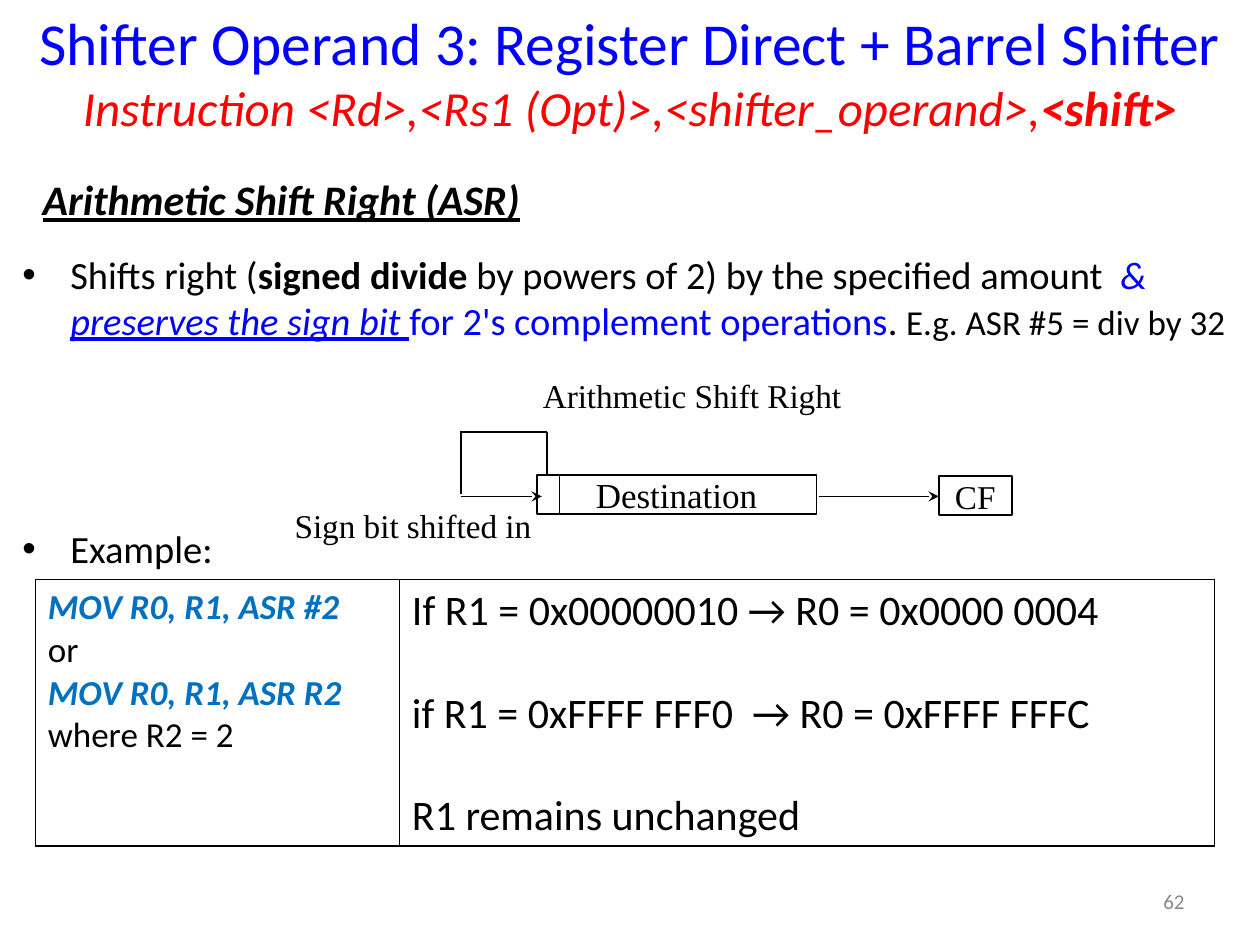
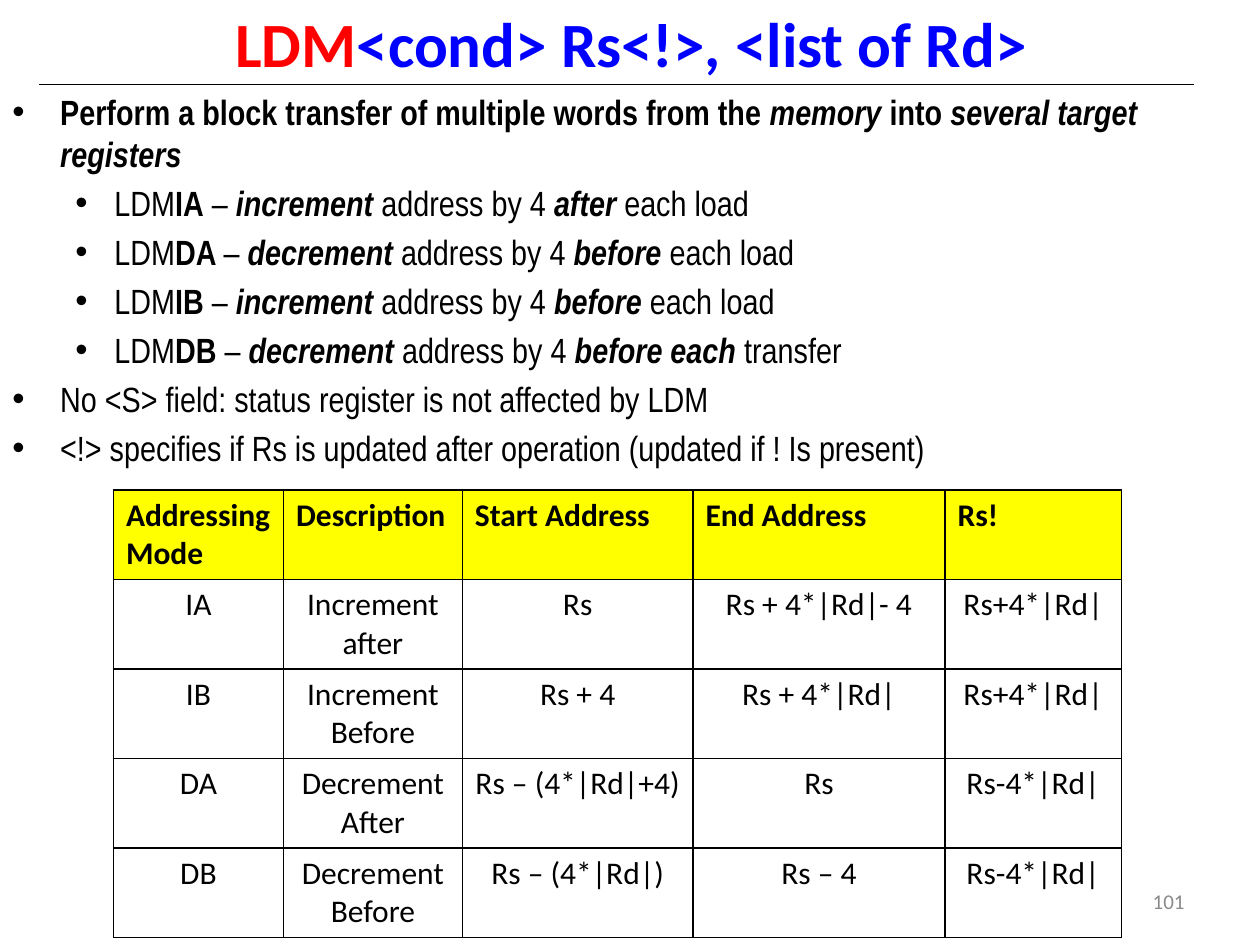
from dataclasses import dataclass

from pptx import Presentation
from pptx.dml.color import RGBColor
from pptx.enum.shapes import MSO_CONNECTOR, MSO_SHAPE
from pptx.enum.text import MSO_ANCHOR, PP_ALIGN
from pptx.oxml.ns import qn
from pptx.util import Inches, Pt
from lxml.etree import SubElement

LEFT, MID, RIGHT = PP_ALIGN.LEFT, PP_ALIGN.CENTER, PP_ALIGN.RIGHT
TOP, HALF = MSO_ANCHOR.TOP, MSO_ANCHOR.MIDDLE
RECT, LINE = MSO_SHAPE.RECTANGLE, MSO_CONNECTOR.STRAIGHT

BLACK = RGBColor(0, 0, 0)
WHITE = RGBColor(255, 255, 255)
BLUE = RGBColor(0, 0, 255)
RED = RGBColor(255, 0, 0)
SKY = RGBColor(0, 0x70, 0xC0)
GREY = RGBColor(0x89, 0x89, 0x89)
YELLOW = RGBColor(255, 255, 0)
SANS, SERIF, SLIM = "Calibri", "Times New Roman", "Arial Narrow"


@dataclass
class Run:
    text: str
    marks: str = ""
    color: RGBColor = BLACK
    size: float = 20
    font: str = SANS


@dataclass
class Para:
    runs: list
    align: PP_ALIGN = LEFT
    before: float = 0
    bullet: bool = False
    indent: float = 0
    hang: float = 0


class Deck:
    def __init__(self):
        self.file = Presentation()
        self.file.slide_width = Inches(10)
        self.file.slide_height = Inches(7.5)
        self.slide = None

    def page(self, number):
        self.slide = self.file.slides.add_slide(self.file.slide_layouts[6])
        self.text(7.17, 6.95, 2.33, 0.4,
                  [Para([Run(number, color=GREY, size=12)], RIGHT)], HALF)

    def fill(self, frame, paras):
        for i, para in enumerate(paras):
            line = frame.paragraphs[0] if i == 0 else frame.add_paragraph()
            props = line._p.get_or_add_pPr()
            if para.bullet:
                props.set("marL", str(Inches(para.indent)))
                props.set("indent", str(-Inches(para.hang)))
                SubElement(props, qn("a:buFont"), typeface="Arial")
                SubElement(props, qn("a:buChar"), char="•")
            line.alignment = para.align
            if i and para.before:
                line.space_before = Pt(para.before)
            for item in para.runs:
                run = line.add_run()
                run.text = item.text
                font = run.font
                font.name, font.size = item.font, Pt(item.size)
                font.color.rgb = item.color
                font.bold = "b" in item.marks
                font.italic = "i" in item.marks
                font.underline = "u" in item.marks

    def text(self, x, y, w, h, paras, anchor=TOP):
        box = self.slide.shapes.add_textbox(
            Inches(x), Inches(y), Inches(w), Inches(h))
        frame = box.text_frame
        frame.word_wrap = True
        frame.vertical_anchor = anchor
        self.fill(frame, paras)

    def label(self, x, y, w, words):
        self.text(x, y, w, 0.39, [Para([Run(words, size=19, font=SERIF)])])

    def box(self, x, y, w, words, size):
        shape = self.slide.shapes.add_shape(
            RECT, Inches(x), Inches(y), Inches(w), Inches(0.31))
        shape.shadow.inherit = False
        shape.fill.background()
        shape.line.color.rgb = BLACK
        shape.line.width = Pt(1)
        frame = shape.text_frame
        frame.word_wrap = False
        frame.vertical_anchor = HALF
        self.fill(frame, [Para([Run(words, size=size, font=SERIF)], MID)])

    def line(self, x1, y1, x2, y2, arrow=False, width=1):
        link = self.slide.shapes.add_connector(
            LINE, Inches(x1), Inches(y1), Inches(x2), Inches(y2))
        link.line.color.rgb = BLACK
        link.line.width = Pt(width)
        if arrow:
            SubElement(link.line._get_or_add_ln(), qn("a:tailEnd"),
                       type="stealth")
        SubElement(link._element.spPr, qn("a:effectLst"))

    def table(self, x, y, cols, high, rows, fills):
        frame = self.slide.shapes.add_table(
            len(rows), len(cols), Inches(x), Inches(y),
            Inches(sum(cols)), Inches(high * len(rows)))
        table = frame.table
        table.first_row = table.horz_banding = False
        for col, width in zip(table.columns, cols):
            col.width = Inches(width)
        for r, (row, tint) in enumerate(zip(rows, fills)):
            table.rows[r].height = Inches(high)
            for c, paras in enumerate(row):
                cell = table.cell(r, c)
                self.edge(cell)
                cell.fill.solid()
                cell.fill.fore_color.rgb = tint
                self.fill(cell.text_frame, paras)

    def edge(self, cell):
        props = cell._tc.get_or_add_tcPr()
        for side in "LRTB":
            rule = SubElement(props, qn(f"a:ln{side}"), w=str(Pt(1)))
            paint = SubElement(rule, qn("a:solidFill"))
            SubElement(paint, qn("a:srgbClr"), val=str(BLACK))


def shift(deck):
    deck.page("62")
    deck.text(0.24, 1.33, 9, 0.5,
              [Para([Run("Arithmetic Shift Right (ASR)", "biu", size=24)])])
    point = dict(bullet=True, indent=0.38, hang=0.38)
    deck.text(0.08, 1.94, 9.75, 2.66, [
        Para([Run("Shifts right (", size=22),
              Run("signed divide ", "b", size=22),
              Run("by powers of 2) by the specified amount  ", size=22),
              Run("& ", "i", BLUE, 22),
              Run("preserves the sign bit ", "iu", BLUE, 22),
              Run("for 2's complement operations", "", BLUE, 22),
              Run(". ", size=22),
              Run("E.g. ASR #5 = div by 32")], **point),
        Para([Run("Example:", size=22)], before=104, **point)])

    deck.box(4.26, 3.77, 2.22, "Destination", 20)
    deck.box(7.45, 3.78, 0.58, "CF", 19)
    deck.line(6.5, 3.94, 7.45, 3.94, True)
    deck.line(4.34, 3.43, 3.66, 3.43)
    deck.line(3.66, 3.42, 3.66, 3.92)
    deck.line(3.66, 3.94, 4.3, 3.94, True)
    deck.line(4.34, 3.78, 4.34, 3.43)
    deck.line(4.44, 3.76, 4.44, 4.08)
    deck.label(4.21, 2.93, 2.94, "Arithmetic Shift Right")
    deck.label(2.24, 3.96, 3.53, "Sign bit shifted in")

    code = [Para([Run("MOV R0, R1, ASR #2", "bi", SKY)]),
            Para([Run("or")]),
            Para([Run("MOV R0, R1, ASR R2", "bi", SKY)]),
            Para([Run("where R2 = 2")])]
    notes = [Para([Run(words, size=24)], before=29.3) for words in (
        "If R1 = 0x00000010 → R0 = 0x0000 0004",
        "if R1 = 0xFFFF FFF0  → R0 = 0xFFFF FFFC",
        "R1 remains unchanged")]
    deck.table(0.28, 4.6, [2.89, 6.47], 2.1, [[code, notes]], [WHITE])
    deck.text(0, 0, 10, 0.75, [
        Para([Run("Shifter Operand 3: Register Direct + Barrel Shifter",
                  "", BLUE, 34)], MID),
        Para([Run("Instruction <Rd>,<Rs1 (Opt)>,<shifter_operand>,",
                  "i", RED, 28),
              Run("<shift>", "bi", RED, 28)], MID)])


def load(deck):
    deck.page("101")
    deck.text(0.51, 0, 9, 0.67, [
        Para([Run("LDM", "b", RED, 36),
              Run("<cond> Rs<!>, <list of Rd>", "b", BLUE, 36)], MID)], HALF)

    def point(*parts, indent=0.38, hang=0.38):
        runs = [Run(words, marks, font=SLIM) for words, marks in parts]
        return Para(runs, before=4, bullet=True, indent=indent, hang=hang)

    modes = [("IA", " – ", "increment ", "after ", "each load"),
             ("DA ", "– ", "decrement ", "before ", "each load"),
             ("IB", " – ", "increment ", "before ", "each load"),
             ("DB ", "– ", "decrement ", "before each ", "transfer")]
    deck.text(0, 0.67, 10, 3, [
        point(("Perform a block transfer of multiple words from the ", "b"),
              ("memory ", "bi"), ("into ", "b"),
              ("several target registers", "bi")),
        *[point(("LDM", ""), (mode, "b"), (dash, ""), (step, "bi"),
                ("address by 4 ", ""), (when, "bi"), (end, ""),
                indent=0.81, hang=0.31)
          for mode, dash, step, when, end in modes],
        point(("No <S> field: status register is not affected by LDM", "")),
        point(("<!> specifies if Rs is updated after operation "
               "(updated if ! Is present)", ""))])
    deck.line(0.31, 0.67, 9.48, 0.67, width=0.75)

    head = ["Addressing Mode", "Description", "Start Address",
            "End Address", "Rs!"]
    body = [["IA", "Increment after", "Rs", "Rs + 4*|Rd|- 4", "Rs+4*|Rd|"],
            ["IB", "Increment Before", "Rs + 4", "Rs + 4*|Rd|", "Rs+4*|Rd|"],
            ["DA", "Decrement After", "Rs – (4*|Rd|+4)", "Rs", "Rs-4*|Rd|"],
            ["DB", "Decrement Before", "Rs – (4*|Rd|)", "Rs – 4",
             "Rs-4*|Rd|"]]
    rows = [[[Para([Run(words, "b", size=18)])] for words in head]]
    rows += [[[Para([Run(words, size=18)], MID)] for words in row]
             for row in body]
    deck.table(0.9, 3.89, [1.35, 1.42, 1.83, 2, 1.4], 0.71, rows,
               [YELLOW] + [WHITE] * len(body))


def main():
    deck = Deck()
    shift(deck)
    load(deck)
    deck.file.save("out.pptx")


if __name__ == "__main__":
    main()
